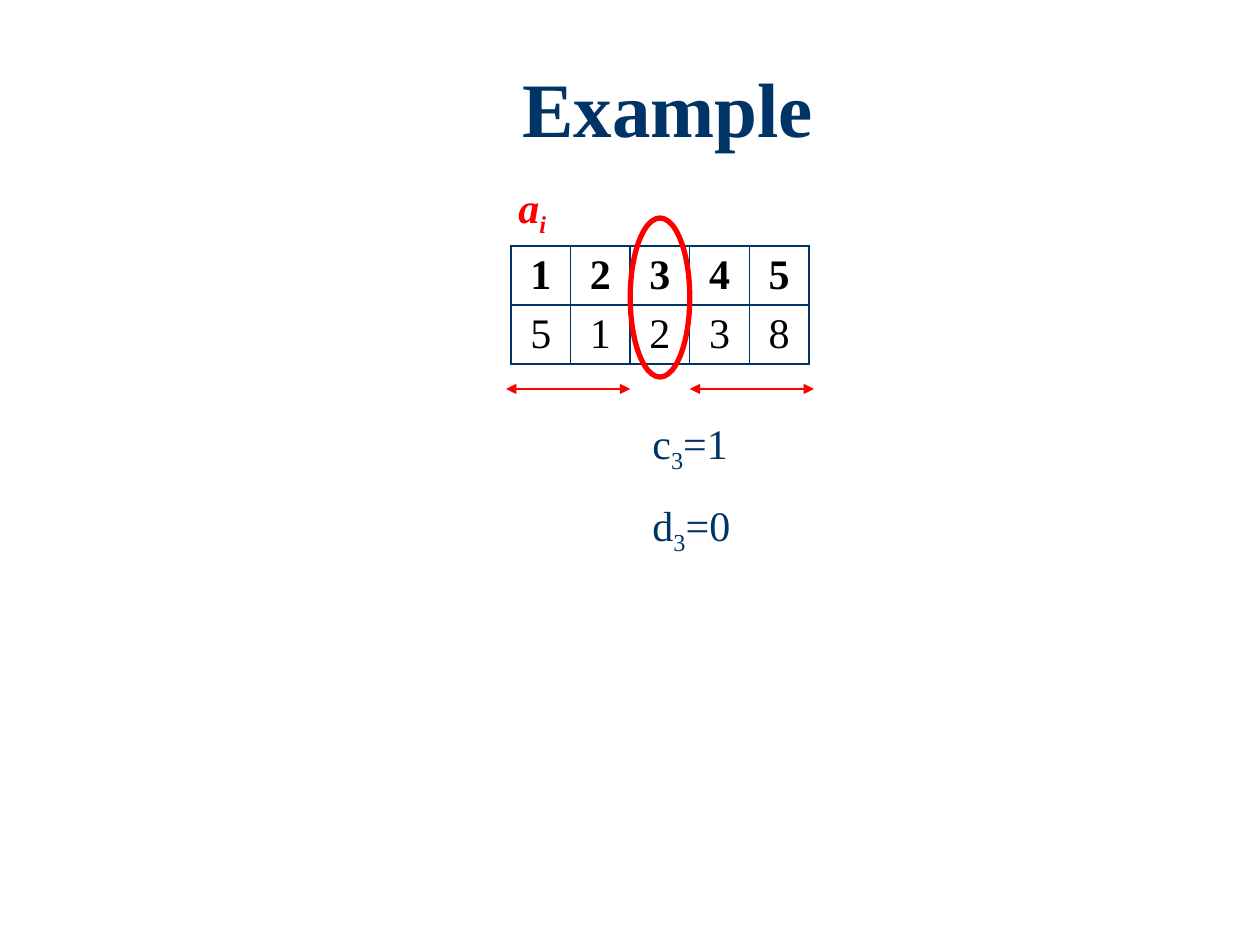
import pptx
import pptx.util
import pptx.dml.color
import pptx.enum.shapes
import pptx.enum.text
import pptx.oxml
import pptx.oxml.ns

COLORS = {"navy": "003366", "red": "FF0000", "black": "000000", "white": "FFFFFF"}
INDEX_ROW = ["1", "2", "3", "4", "5"]
VALUE_ROW = ["5", "1", "2", "3", "8"]
MIDDLE = pptx.enum.text.MSO_ANCHOR.MIDDLE
CENTER = pptx.enum.text.PP_ALIGN.CENTER


def px(length):
    return pptx.util.Emu(round(length * 914400 / 126))


def rgb(name):
    return pptx.dml.color.RGBColor.from_string(COLORS[name])


def add_xml(parent, tag, content="", attributes=""):
    namespace = pptx.oxml.ns.nsdecls("a")
    child = pptx.oxml.parse_xml(f"<a:{tag} {namespace} {attributes}>{content}</a:{tag}>")
    parent.append(child)


def set_values(target, values):
    for attribute, value in values.items():
        setattr(target, attribute, value)


def format_font(font, color, size=24, bold=False, italic=False):
    set_values(font, {"name": "Times New Roman", "size": pptx.util.Pt(size),
                      "bold": bold, "italic": italic})
    font.color.rgb = rgb(color)


def place_heading(slide, left, top, width, height):
    heading = slide.shapes.title
    set_values(heading, {"left": px(left), "top": px(top),
                         "width": px(width), "height": px(height)})
    heading.text_frame.text = "Example"
    set_values(heading.text_frame, {"vertical_anchor": MIDDLE, "word_wrap": True,
                                    "auto_size": pptx.enum.text.MSO_AUTO_SIZE.NONE})
    paragraph = heading.text_frame.paragraphs[0]
    set_values(paragraph, {"alignment": CENTER, "line_spacing": 0.9})
    format_font(paragraph.runs[0].font, "navy", 44, bold=True)


def place_formula(slide, left, top, width, height, symbol, index, rest, color, **style):
    formula = slide.shapes.add_textbox(px(left), px(top), px(width), px(height))
    set_values(formula.text_frame, {
        "word_wrap": False, "auto_size": pptx.enum.text.MSO_AUTO_SIZE.SHAPE_TO_FIT_TEXT})
    paragraph = formula.text_frame.paragraphs[0]
    for text, baseline in ((symbol, 0), (index, -25000), (rest, 0)):
        if text:
            run = paragraph.add_run()
            run.text = text
            format_font(run.font, color, **style)
            if baseline:
                run.font._element.set("baseline", str(baseline))


def format_cell(cell, text, bold):
    cell.text = text
    set_values(cell, {"margin_top": px(6), "margin_bottom": px(4)})
    cell.text_frame.paragraphs[0].alignment = CENTER
    format_font(cell.text_frame.paragraphs[0].runs[0].font, "black", bold=bold)
    properties = cell._tc.get_or_add_tcPr()
    line_fill = f'<a:solidFill><a:srgbClr val="{COLORS["navy"]}"/></a:solidFill>'
    for side in ("lnL", "lnR", "lnT", "lnB"):
        add_xml(properties, side, line_fill, 'w="12700"')
    cell.fill.solid()
    cell.fill.fore_color.rgb = rgb("white")


def place_sequence(slide, left, top, width, height):
    # Index row above value row
    rows = [INDEX_ROW, VALUE_ROW]
    sequence = slide.shapes.add_table(
        len(rows), len(INDEX_ROW), px(left), px(top), px(width), px(height)).table
    for column in sequence.columns:
        column.width = px(width / len(INDEX_ROW))
    for row_number, texts in enumerate(rows):
        sequence.rows[row_number].height = px(height / len(rows))
        for column_number, text in enumerate(texts):
            format_cell(sequence.cell(row_number, column_number), text, row_number == 0)

    # Ring round the third column
    column_width = width / len(INDEX_ROW)
    ring_left, ring_right = left + 2 * column_width, left + 3 * column_width
    ring = slide.shapes.add_shape(
        pptx.enum.shapes.MSO_SHAPE.OVAL,
        px(ring_left), px(top - 28), px(column_width), px(159))
    ring.shadow.inherit = False
    ring.fill.background()
    ring.line.color.rgb = rgb("red")
    ring.line.width = pptx.util.Pt(3)

    # Spans before and after the ringed column
    span_y = top + height + 25
    for start, end in ((left - 5, ring_left), (ring_right, left + width + 5)):
        span = slide.shapes.add_connector(
            pptx.enum.shapes.MSO_CONNECTOR.STRAIGHT,
            px(start), px(span_y), px(end), px(span_y))
        span.line.color.rgb = rgb("red")
        span.line.width = pptx.util.Pt(0.75)
        for arrowhead in ("headEnd", "tailEnd"):
            add_xml(span.line._get_or_add_ln(), arrowhead, attributes='type="triangle"')
        add_xml(span._element.spPr, "effectLst")


def main():
    presentation = pptx.Presentation()
    set_values(presentation, {"slide_width": px(1260), "slide_height": px(945)})
    slide = presentation.slides.add_slide(presentation.slide_layouts[5])
    place_heading(slide, 164, 55, 1008, 116)
    place_sequence(slide, 511, 246, 298, 118)
    place_formula(slide, 506, 175, 54, 63, "a", "i", "", "red", bold=True, italic=True)
    # Counts for the third element
    place_formula(slide, 640, 411, 103, 63, "c", "3", "=1", "navy")
    place_formula(slide, 640, 493, 106, 63, "d", "3", "=0", "navy")
    presentation.save("out.pptx")


if __name__ == "__main__":
    main()
